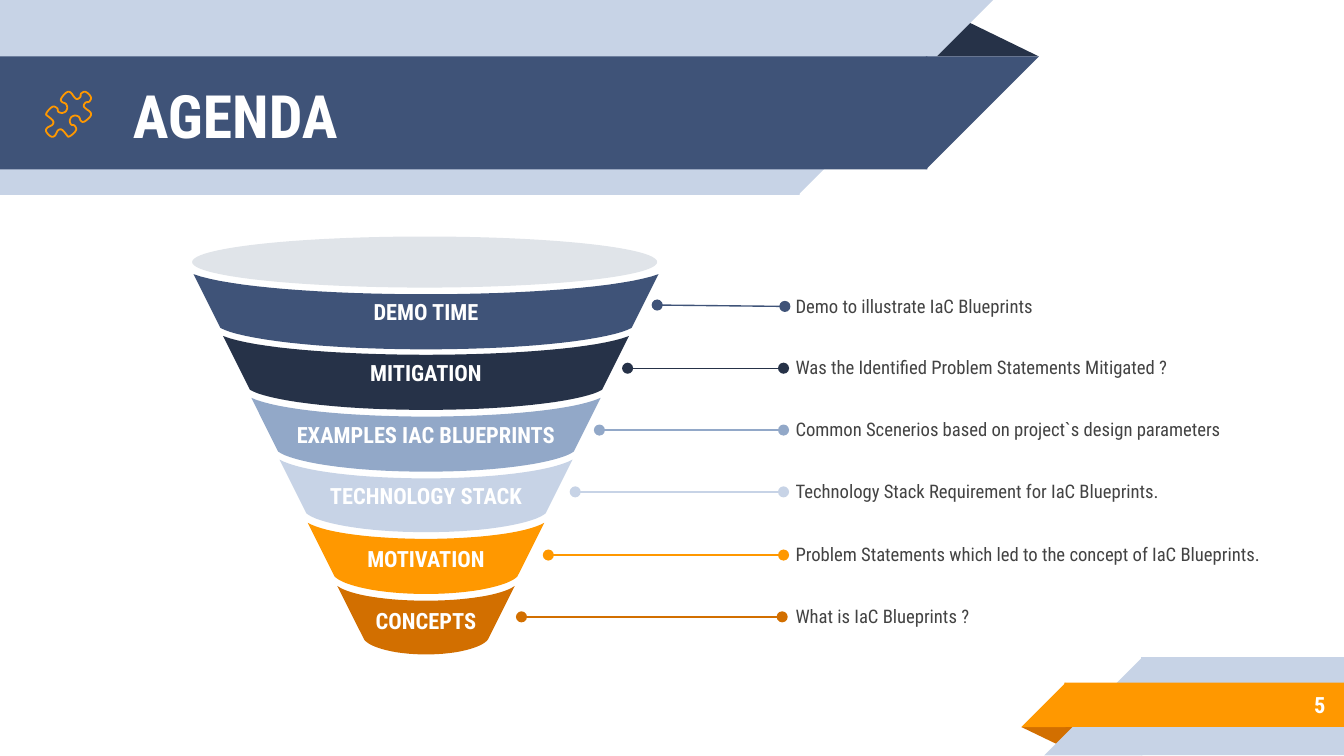
from lxml.etree import SubElement
from pptx import Presentation
from pptx.dml.color import RGBColor
from pptx.enum.shapes import MSO_CONNECTOR, MSO_SHAPE as SHAPE
from pptx.enum.text import MSO_ANCHOR, PP_ALIGN as ALIGN
from pptx.oxml.ns import qn
from pptx.util import Inches, Pt

FONT = "Roboto Condensed"
NAVY, DARK, STEEL, PALE = "3F5378", "263248", "92A8C8", "C7D3E6"
ORANGE, BROWN, GREY, WHITE, TEXT = "FF9800", "D26F00", "E0E4E9", "FFFFFF", "434343"

# kind, left, top, width, height, rotation, colour
# Rectangles overlap their triangles by 0.01 so that no seam shows
RIBBONS = [
    (SHAPE.ISOSCELES_TRIANGLE, 6.88, 0.14, 0.85, 0.28, 0, DARK),
    (SHAPE.RECTANGLE, 0, 0, 5.95, 1.45, 0, PALE),
    (SHAPE.RIGHT_TRIANGLE, 5.94, 0, 1.45, 1.45, 90, PALE),
    (SHAPE.RECTANGLE, 0, 0.42, 6.9, 0.84, 0, NAVY),
    (SHAPE.RIGHT_TRIANGLE, 6.89, 0.42, 0.84, 0.84, 90, NAVY),
    (SHAPE.ISOSCELES_TRIANGLE, 7.6, 5.41, 0.43, 0.14, 180, BROWN),
    (SHAPE.RECTANGLE, 8.49, 4.89, 1.51, 0.73, 0, PALE),
    (SHAPE.RIGHT_TRIANGLE, 7.77, 4.89, 0.73, 0.73, 270, PALE),
    (SHAPE.RECTANGLE, 7.92, 5.08, 2.08, 0.33, 0, ORANGE),
    (SHAPE.RIGHT_TRIANGLE, 7.6, 5.08, 0.33, 0.33, 270, ORANGE),
]

# label, description, colour, top, half width, dip of top edge, depth, line start, line end
STAGES = [
    ("DEMO TIME", "Demo to illustrate IaC Blueprints",
     NAVY, 2.04, 1.73, 0.15, 0.56, (4.89, 2.27), (5.84, 2.28)),
    ("MITIGATION", "Was the Identified Problem Statements Mitigated ?",
     DARK, 2.5, 1.51, 0.14, 0.55, (4.67, 2.74), (5.83, 2.74)),
    ("EXAMPLES IAC BLUEPRINTS", "Common Scenerios based on project`s design parameters",
     STEEL, 2.96, 1.3, 0.14, 0.55, (4.46, 3.2), (5.83, 3.2)),
    ("TECHNOLOGY STACK", "Technology Stack Requirement for IaC Blueprints.",
     PALE, 3.42, 1.09, 0.14, 0.54, (4.28, 3.66), (5.83, 3.66)),
    ("MOTIVATION", "Problem Statements which led to the concept of IaC Blueprints.",
     ORANGE, 3.89, 0.88, 0.12, 0.53, (4.08, 4.13), (5.83, 4.13)),
    ("CONCEPTS", "What is IaC Blueprints ?",
     BROWN, 4.36, 0.66, 0.11, 0.51, (3.88, 4.59), (5.82, 4.59)),
]
FUNNEL_CENTER = 3.17
SHOULDER_DROP, SHOULDER_INSET = 0.4, 0.2

# Upper-left half of the puzzle piece; the rest mirrors it across a diagonal
PUZZLE_HALF = [
    (.66, .70), (.65, .69), (.63, .68), (.61, .69), (.60, .70), (.60, .72), (.59, .73),
    (.57, .74), (.55, .72), (.53, .69), (.51, .68), (.49, .69), (.47, .71), (.45, .74),
    (.46, .76), (.49, .77), (.50, .79), (.50, .81), (.49, .83), (.47, .84), (.45, .84),
    (.43, .83), (.43, .81), (.42, .80), (.40, .79), (.38, .80), (.36, .82), (.34, .85),
    (.35, .86), (.39, .89), (.40, .91), (.39, .93), (.37, .94), (.35, .95), (.34, .97),
    (.35, .99), (.36, 1.0),
]
MIRROR_SUM = 1.36


def color(hex_string):
    return RGBColor.from_string(hex_string)


def paint(shape, fill):
    shape.shadow.inherit = False
    shape.fill.solid()
    shape.fill.fore_color.rgb = color(fill)
    shape.line.fill.background()


def write(shape, text, size, font_color, bold=False, align=ALIGN.LEFT, margins=(0, 0)):
    frame = shape.text_frame
    frame.word_wrap = True
    frame.vertical_anchor = MSO_ANCHOR.MIDDLE
    frame.margin_left = frame.margin_right = Inches(margins[0])
    frame.margin_top = frame.margin_bottom = Inches(margins[1])
    paragraph = frame.paragraphs[0]
    paragraph.text = text
    paragraph.alignment = align
    font = paragraph.font
    font.name, font.size, font.bold = FONT, Pt(size), bold
    font.color.rgb = color(font_color)


def add_preset(shapes, kind, left, top, width, height, fill):
    shape = shapes.add_shape(kind, *map(Inches, (left, top, width, height)))
    paint(shape, fill)
    return shape


def add_text(shapes, box, *args, **options):
    write(shapes.add_textbox(*map(Inches, box)), *args, **options)


def add_polygon(shapes, points):
    start, *rest = [(Inches(x), Inches(y)) for x, y in points]
    builder = shapes.build_freeform(*start)
    builder.add_line_segments(rest, close=True)
    return builder.convert_to_shape()


def bezier(a, b, c, d, steps=16):
    for i in range(steps + 1):
        t = i / steps
        u = 1 - t
        yield tuple(u**3 * p + 3 * u * u * t * q + 3 * u * t * t * r + t**3 * s
                    for p, q, r, s in zip(a, b, c, d))


def band_outline(top, half, dip, depth):
    """Funnel band with both edges curved, symmetric about the funnel centre."""
    low, shoulder, bottom = half - SHOULDER_INSET, top + SHOULDER_DROP, top + depth
    right = [
        *bezier((0, top + dip), (0.42 * half, top + dip),
                (0.85 * half, top + 0.65 * dip), (half, top)),
        *bezier((low, shoulder), (0.91 * low, (shoulder + bottom) / 2),
                (0.53 * low, bottom), (0, bottom)),
    ]
    left = [(-x, y) for x, y in right[-2:0:-1]]
    return [(FUNNEL_CENTER + x, y) for x, y in right + left]


def round_corners(points):
    """Cut each corner of a closed outline at a quarter of its sides."""
    return [(a[0] + (b[0] - a[0]) * t, a[1] + (b[1] - a[1]) * t)
            for a, b in zip(points, points[1:] + points[:1]) for t in (0.25, 0.75)]


def add_dotted_end_line(shapes, start, end, line_color):
    line = shapes.add_connector(MSO_CONNECTOR.STRAIGHT, *map(Inches, start + end))
    line.line.color.rgb = color(line_color)
    line.line.width = Pt(0.75)
    outline = line.line._get_or_add_ln()
    for tag in ("a:headEnd", "a:tailEnd"):
        SubElement(outline, qn(tag), type="oval")
    SubElement(line._element.spPr, qn("a:effectLst"))


def main():
    presentation = Presentation()
    presentation.slide_width = Inches(10)
    presentation.slide_height = presentation.slide_width * 9 // 16
    slide = presentation.slides.add_slide(presentation.slide_layouts[6])
    shapes = slide.shapes

    for kind, left, top, width, height, rotation, fill in RIBBONS:
        ribbon = add_preset(shapes, kind, left, top, width, height, fill)
        ribbon.rotation = rotation
        if kind == SHAPE.ISOSCELES_TRIANGLE:
            ribbon.adjustments[0] = 0.324

    add_text(shapes, (0.89, 0.43, 5.75, 0.84), "AGENDA", 32, WHITE, bold=True,
             margins=(0.1, 0.1))
    add_text(shapes, (8.33, 5.07, 1.63, 0.35), "5", 12, WHITE, bold=True,
             align=ALIGN.RIGHT, margins=(0.1, 0.1))

    for label, description, fill, top, half, dip, depth, start, end in STAGES:
        band = add_polygon(shapes, band_outline(top, half, dip, depth))
        paint(band, fill)
        write(band, label, 12, WHITE, bold=True, align=ALIGN.CENTER, margins=(0.07, 0.04))
        add_dotted_end_line(shapes, start, end, fill)
        add_text(shapes, (5.92, end[1] - 0.17, 3.96, 0.33), description, 10, TEXT)
    add_preset(shapes, SHAPE.OVAL, 1.43, 1.76, 3.46, 0.38, GREY)

    mirrored = [(MIRROR_SUM - y, MIRROR_SUM - x) for x, y in PUZZLE_HALF[-2:0:-1]]
    puzzle = add_polygon(shapes, round_corners(PUZZLE_HALF + mirrored))
    puzzle.shadow.inherit = False
    puzzle.fill.background()
    puzzle.line.color.rgb = color(ORANGE)
    puzzle.line.width = Pt(0.96)

    presentation.save("out.pptx")


if __name__ == "__main__":
    main()
